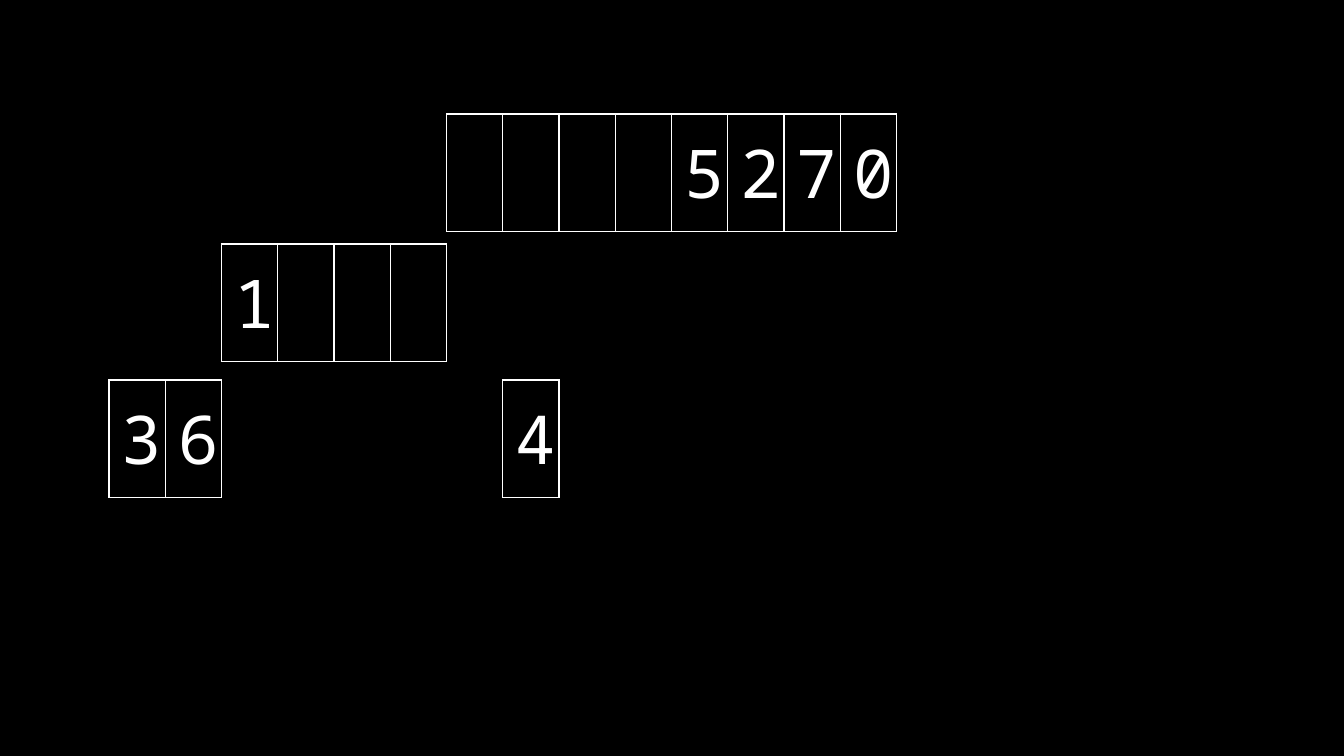
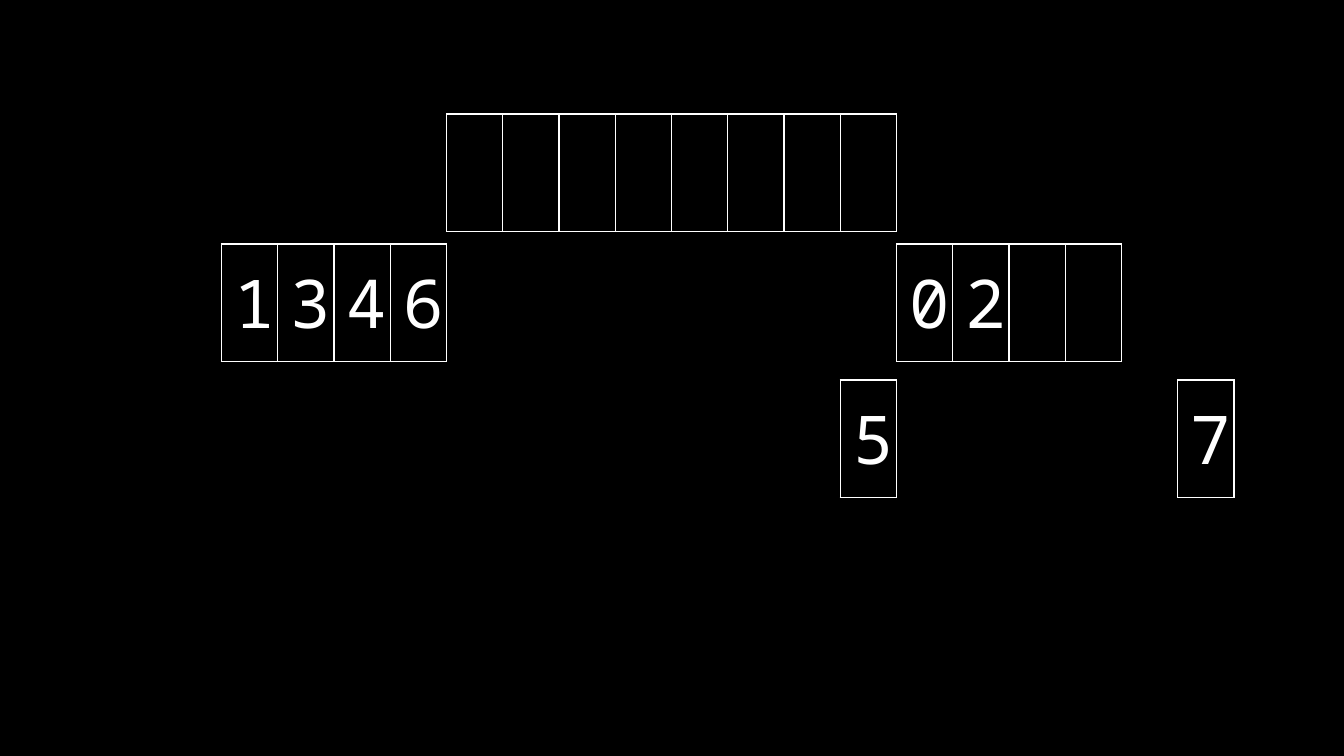
from lxml.etree import SubElement
from pptx import Presentation
from pptx.dml.color import RGBColor
from pptx.enum.text import MSO_ANCHOR as Anchor, PP_ALIGN as Align
from pptx.oxml import parse_xml
from pptx.oxml.ns import nsdecls, qn
from pptx.util import Pt

SCALE = 914400 / 134.4
COLORS = {"background": "000000", "ink": "FFFFFF"}
FONT = {"name": "Noto Sans Mono", "size": Pt(36)}
BORDER = Pt(0.75)
MARGIN = 13

# Every node sits on one grid of columns; four columns span 225 px.
GRID_LEFT, FOUR_COLUMNS, NODE_HEIGHT = 109, 225, 108
LEVEL_TOPS = [114, 244, 380]

# (level, first grid column, cells); "_" is an empty cell, "." an unframed one
TREES = [
    [(0, 6, "____5270"), (1, 2, "1___"), (2, 0, "36"), (2, 6, ".4")],
    [(0, 6, "________"), (1, 2, "1346"), (1, 14, "02__"),
     (2, 12, ".5"), (2, 18, ".7")],
]


def px(n):
    return round(n * SCALE)


def columns(n):
    return n * FOUR_COLUMNS / 4


def set_borders(cell, sides):
    """Draw the named sides (of "LRTB") and hide the others."""
    tc_pr = cell._tc.get_or_add_tcPr()
    for i, side in enumerate("LRTB"):
        paint = "<a:noFill/>"
        if side in sides:
            paint = (f'<a:solidFill><a:srgbClr val="{COLORS["ink"]}"/>'
                     '</a:solidFill>')
        tc_pr.insert(i, parse_xml(
            f'<a:ln{side} {nsdecls("a")} w="{BORDER}">{paint}</a:ln{side}>'))


def write_digit(p, digit):
    p.alignment = Align.CENTER
    r = p.add_run()
    r.text = digit
    for name, value in FONT.items():
        setattr(r.font, name, value)
    r.font.color.rgb = RGBColor.from_string(COLORS["ink"])


def keep_line_height(p):
    """Give an empty cell the line height of a digit."""
    end = SubElement(p._p, qn("a:endParaRPr"), sz=str(int(FONT["size"].pt * 100)))
    SubElement(end, qn("a:latin"), typeface=FONT["name"])


def format_cell(cell, mark):
    cell.fill.background()
    set_borders(cell, "R" if mark == "." else "LRTB")
    cell.vertical_anchor = Anchor.MIDDLE
    for side in ("left", "right", "top", "bottom"):
        setattr(cell, f"margin_{side}", px(MARGIN))
    p = cell.text_frame.paragraphs[0]
    if mark.isdigit():
        write_digit(p, mark)
    else:
        keep_line_height(p)


def add_node(s, level, column, marks):
    left = GRID_LEFT + columns(column)
    table = s.shapes.add_table(
        1, len(marks), px(left), px(LEVEL_TOPS[level]),
        px(columns(len(marks))), px(NODE_HEIGHT)).table
    table.first_row = table.horz_banding = False
    for cell, mark in zip(table.iter_cells(), marks):
        format_cell(cell, mark)


def add_tree_slide(prs, nodes):
    s = prs.slides.add_slide(prs.slide_layouts[6])
    for node in nodes:
        add_node(s, *node)


def main():
    prs = Presentation()
    prs.slide_width, prs.slide_height = px(1344), px(756)
    fill = prs.slide_master.background.fill
    fill.solid()
    fill.fore_color.rgb = RGBColor.from_string(COLORS["background"])
    for nodes in TREES:
        add_tree_slide(prs, nodes)
    prs.save("out.pptx")


if __name__ == "__main__":
    main()
